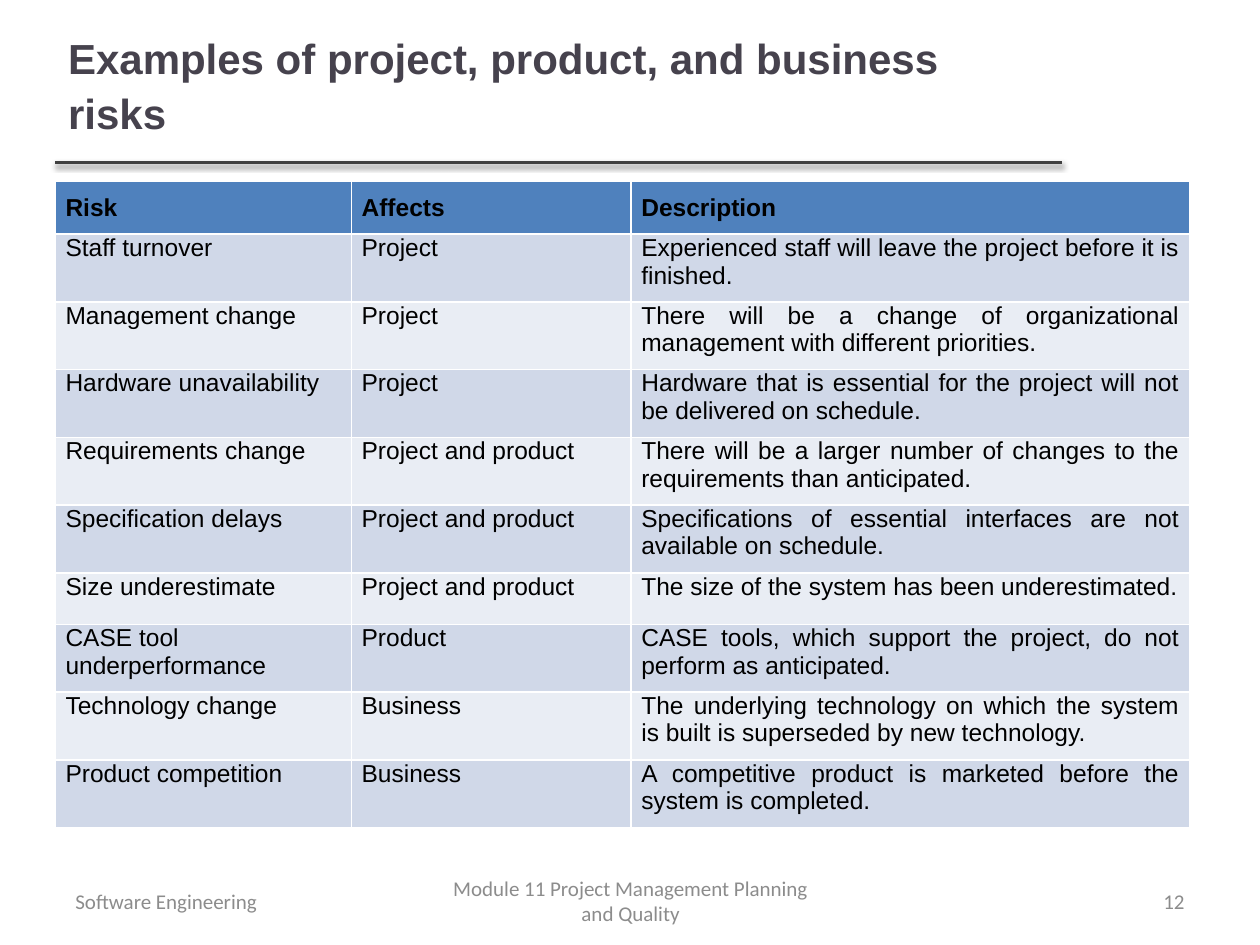
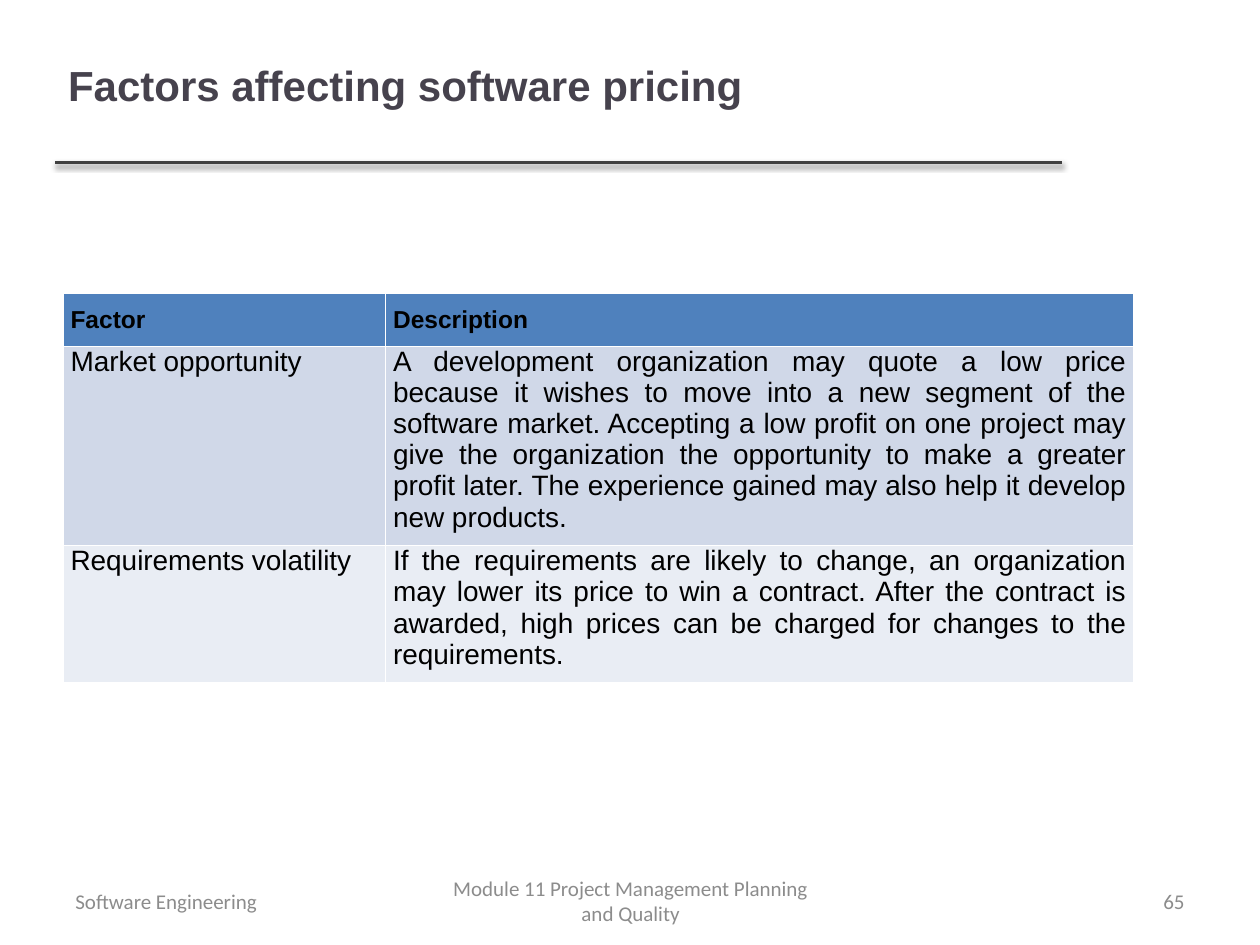
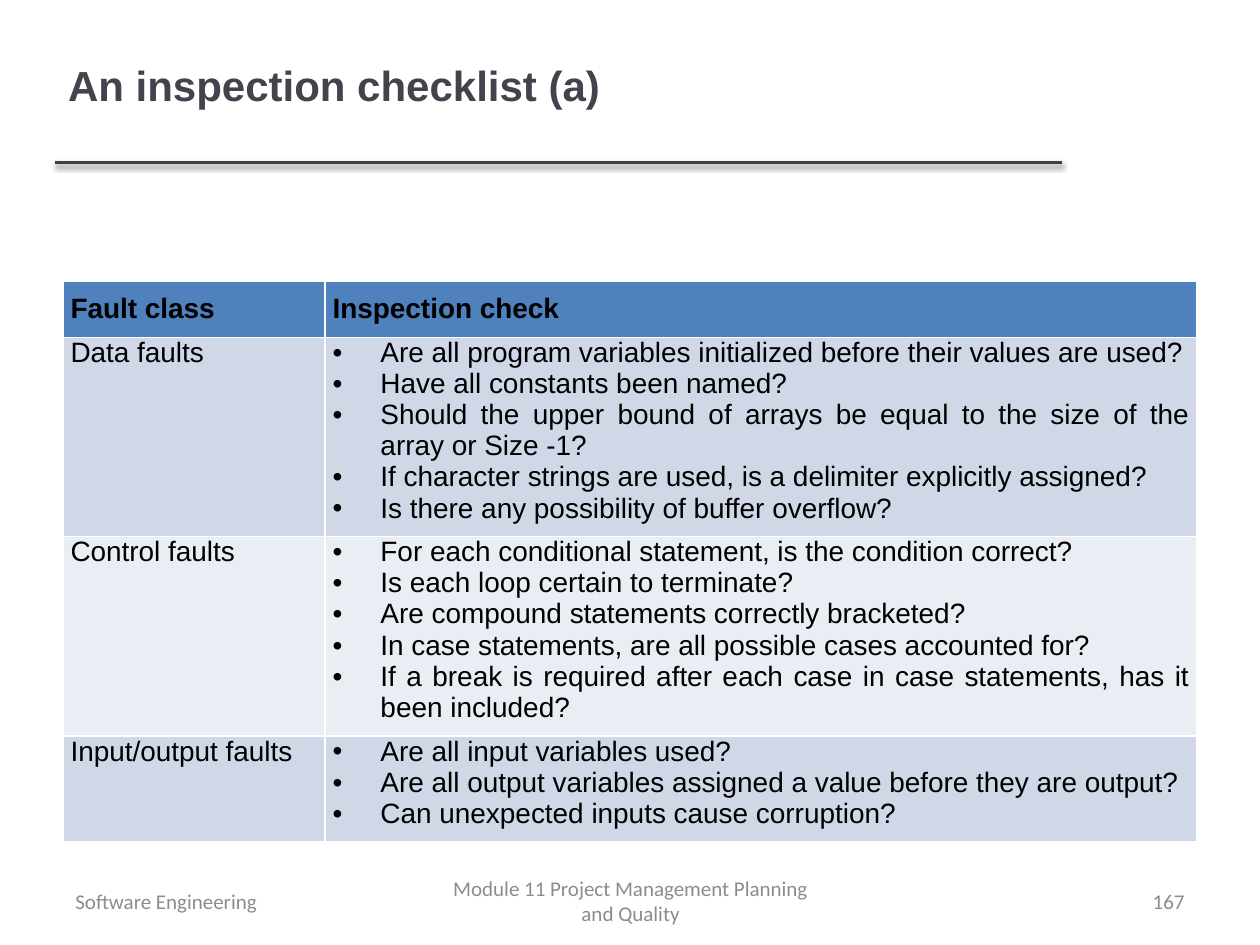
from lxml import etree
from pptx import Presentation
from pptx import util as u
from pptx.dml.color import RGBColor
from pptx.enum import shapes, text
from pptx.oxml import ns

COLORS = {
    "title": "46424D", "rule": "404040", "footer": "8C8C8C", "ink": "000000",
    "header": "4F81BD", "band_dark": "D0D8E8", "band_light": "E9EDF4",
}
ALIGN = text.PP_ALIGN

SLIDES = [
    dict(
        title="Examples of project, product, and business risks",
        number="12", at=(0.44, 1.44), cols=(2.35, 2.22, 4.43),
        inset=0.08, head_size=14, body_size=14,
        rows=[
            ("Risk", "Affects", "Description"),
            ("Staff turnover", "Project",
             "Experienced staff will leave the project before it is finished."),
            ("Management change", "Project",
             "There will be a change of organizational management with different priorities."),
            ("Hardware unavailability", "Project",
             "Hardware that is essential for the project will not be delivered on schedule."),
            ("Requirements change", "Project and product",
             "There will be a larger number of changes to the requirements than anticipated."),
            ("Specification delays", "Project and product",
             "Specifications of essential interfaces are not available on schedule."),
            ("Size underestimate", "Project and product",
             "The size of the system has been underestimated."),
            ("CASE tool underperformance", "Product",
             "CASE tools, which support the project, do not perform as anticipated."),
            ("Technology change", "Business",
             "The underlying technology on which the system is built is superseded by new technology."),
            ("Product competition", "Business",
             "A competitive product is marketed before the system is completed."),
        ],
    ),
    dict(
        title="Factors affecting software pricing",
        number="65", at=(0.5, 2.33), cols=(2.56, 5.94),
        inset=0.06, head_size=14, body_size=16,
        rows=[
            ("Factor", "Description"),
            ("Market opportunity",
             "A development organization may quote a low price because it wishes to move into "
             "a new segment of the software market. Accepting a low profit on one project may "
             "give the organization the opportunity to make a greater profit later. The "
             "experience gained may also help it develop new products."),
            ("Requirements volatility",
             "If the requirements are likely to change, an organization may lower its price to "
             "win a contract. After the contract is awarded, high prices can be charged for "
             "changes to the requirements."),
        ],
    ),
    dict(
        title="An inspection checklist (a)",
        number="167", at=(0.5, 2.23), cols=(2.08, 6.92),
        inset=0.06, head_size=16, body_size=16,
        rows=[
            ("Fault class", "Inspection check"),
            ("Data faults", [
                "Are all program variables initialized before their values are used?",
                "Have all constants been named?",
                "Should the upper bound of arrays be equal to the size of the array or Size -1?",
                "If character strings are used, is a delimiter explicitly assigned?",
                "Is there any possibility of buffer overflow?",
            ]),
            ("Control faults", [
                "For each conditional statement, is the condition correct?",
                "Is each loop certain to terminate?",
                "Are compound statements correctly bracketed?",
                "In case statements, are all possible cases accounted for?",
                "If a break is required after each case in case statements, has it been included?",
            ]),
            ("Input/output faults", [
                "Are all input variables used?",
                "Are all output variables assigned a value before they are output?",
                "Can unexpected inputs cause corruption?",
            ]),
        ],
    ),
]


def add_run(p, words, size, font, color, bold=False):
    r = p.add_run()
    r.text = words
    r.font.size = u.Pt(size)
    r.font.name = font
    r.font.bold = bold
    r.font.color.rgb = RGBColor.from_string(COLORS[color])


def add_effects(line):
    effects = etree.SubElement(line._element.spPr, ns.qn("a:effectLst"))
    shadow = etree.SubElement(
        effects, ns.qn("a:outerShdw"), blurRad=str(u.Pt(3.1)), dist=str(u.Pt(1.6)),
        dir="5400000", rotWithShape="0")
    black = etree.SubElement(shadow, ns.qn("a:srgbClr"), val=COLORS["ink"])
    etree.SubElement(black, ns.qn("a:alpha"), val="38000")


prs = Presentation()
prs.slide_width, prs.slide_height = u.Inches(10), u.Inches(7.5)

for spec_slide in SLIDES:
    s = prs.slides.add_slide(prs.slide_layouts[5])

    rule = s.shapes.add_connector(
        shapes.MSO_CONNECTOR.STRAIGHT,
        u.Inches(0.44), u.Inches(1.29), u.Inches(8.43), u.Inches(1.29))
    rule.line.color.rgb = RGBColor.from_string(COLORS["rule"])
    rule.line.width = u.Pt(2)
    add_effects(rule)

    title = s.shapes.title
    title.left, title.top = u.Inches(0.44), u.Inches(0.03)
    title.width, title.height = u.Inches(7.95), u.Inches(1.25)
    tf = title.text_frame
    tf.auto_size = text.MSO_AUTO_SIZE.NONE
    tf.vertical_anchor = text.MSO_ANCHOR.MIDDLE
    p = tf.paragraphs[0]
    p.alignment = ALIGN.LEFT
    p.line_spacing = 1.09
    add_run(p, spec_slide["title"], 24, "Arial", "title", True)

    rows, cols = spec_slide["rows"], spec_slide["cols"]
    left, top = spec_slide["at"]
    table = s.shapes.add_table(
        len(rows), len(cols), u.Inches(left), u.Inches(top),
        u.Inches(sum(cols)), u.Inches(0.41 * len(rows))).table
    for column, width in zip(table.columns, cols):
        column.width = u.Inches(width)
    for i, row in enumerate(rows):
        is_head = i == 0
        fill = "header" if is_head else ("band_light", "band_dark")[i % 2]
        size = spec_slide["head_size" if is_head else "body_size"]
        table.rows[i].height = u.Inches(0.41)
        for j, content in enumerate(row):
            cell = table.cell(i, j)
            cell.fill.solid()
            cell.fill.fore_color.rgb = RGBColor.from_string(COLORS[fill])
            cell.margin_left = cell.margin_right = u.Inches(spec_slide["inset"])
            cell.margin_top = u.Inches(0.1 if is_head else 0)
            cell.margin_bottom = u.Inches(0.1)
            is_list = isinstance(content, list)
            for k, words in enumerate(content if is_list else [content]):
                tf = cell.text_frame
                p = tf.add_paragraph() if k else tf.paragraphs[0]
                justified = is_head or j == len(cols) - 1
                p.alignment = ALIGN.JUSTIFY if justified else ALIGN.LEFT
                if is_list:
                    pPr = p._p.get_or_add_pPr()
                    pPr.set("marL", str(u.Inches(0.38)))
                    pPr.set("indent", str(-u.Inches(0.38)))
                    etree.SubElement(pPr, ns.qn("a:buFont"), typeface="Arial")
                    etree.SubElement(pPr, ns.qn("a:buChar"), char="•")
                add_run(p, words, size, "Arial", "ink", is_head)

    for words, left, width, align in (
        ("Software Engineering", 0.5, 2.33, ALIGN.LEFT),
        ("Module 11 Project Management Planning and Quality", 3.42, 3.17, ALIGN.CENTER),
        (spec_slide["number"], 7.17, 2.33, ALIGN.RIGHT),
    ):
        footer = s.shapes.add_textbox(
            u.Inches(left), u.Inches(6.95), u.Inches(width), u.Inches(0.4))
        tf = footer.text_frame
        tf.word_wrap = True
        tf.vertical_anchor = text.MSO_ANCHOR.MIDDLE
        p = tf.paragraphs[0]
        p.alignment = align
        add_run(p, words, 12, "Calibri", "footer")

prs.save("out.pptx")
